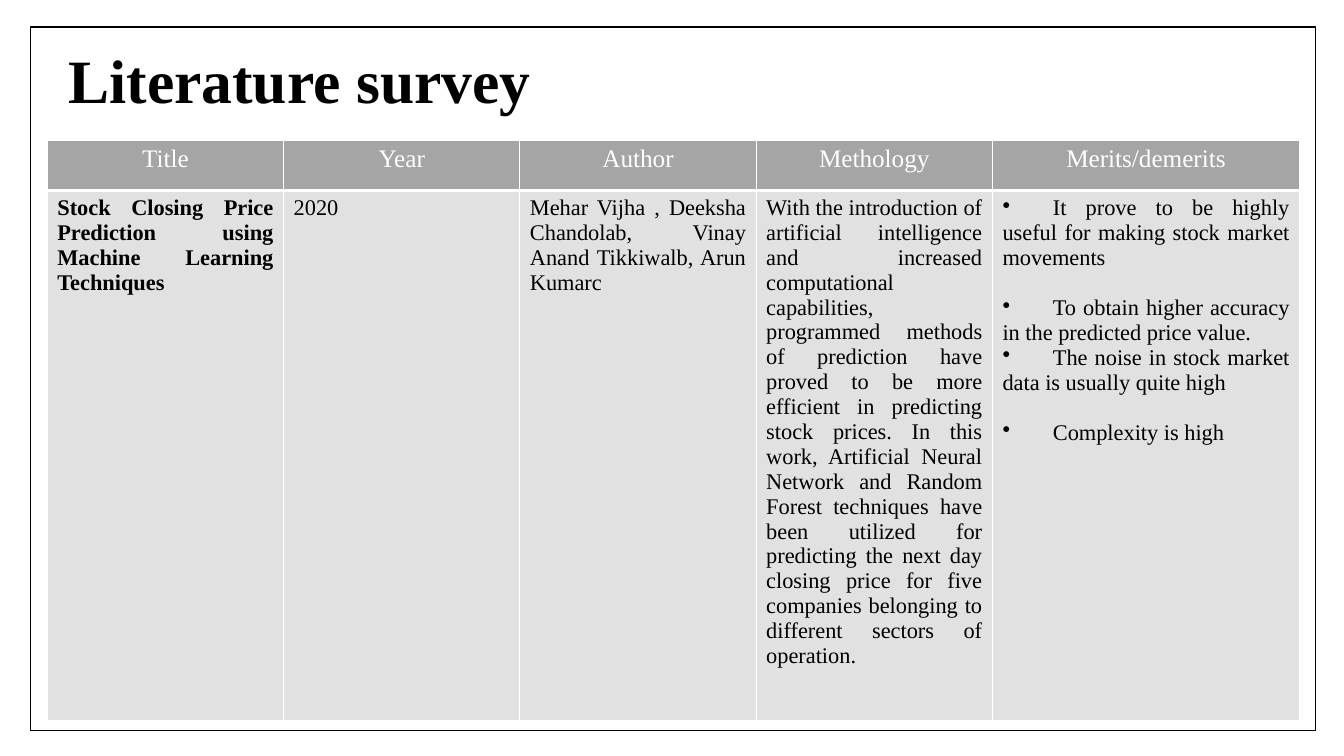
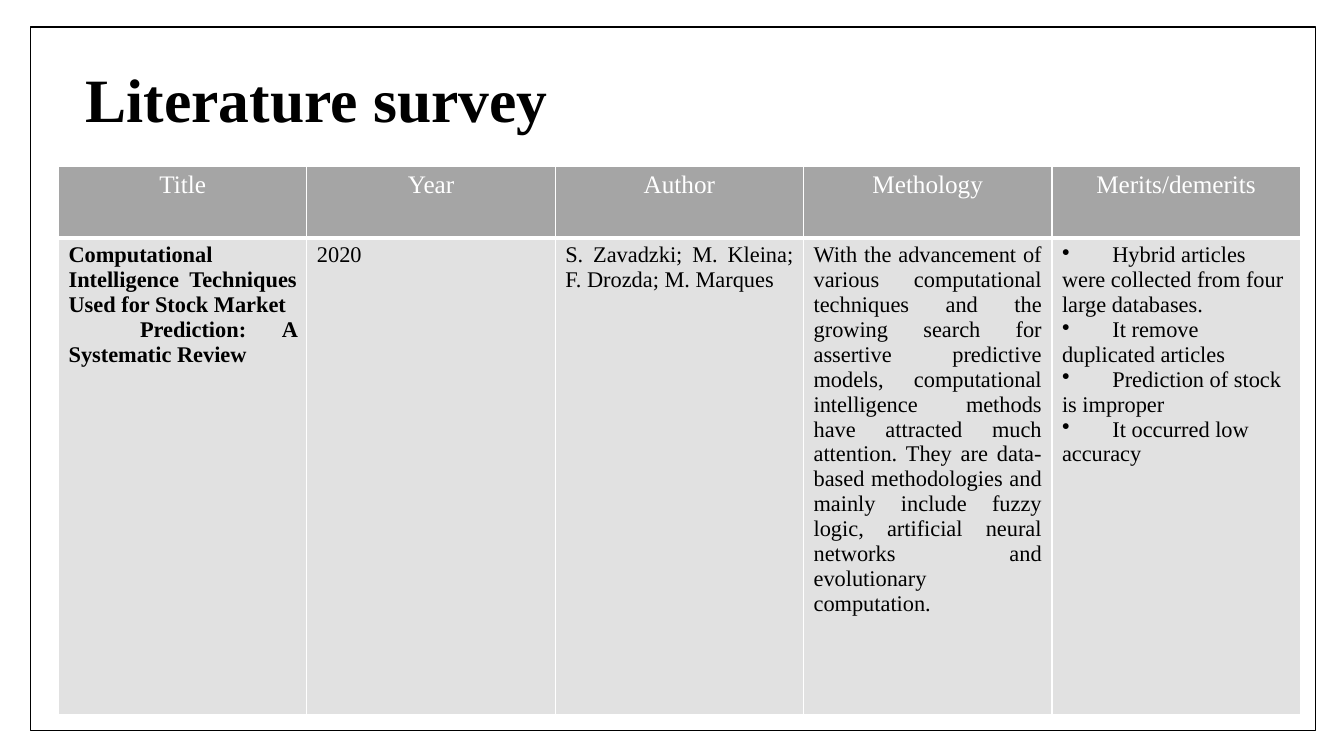
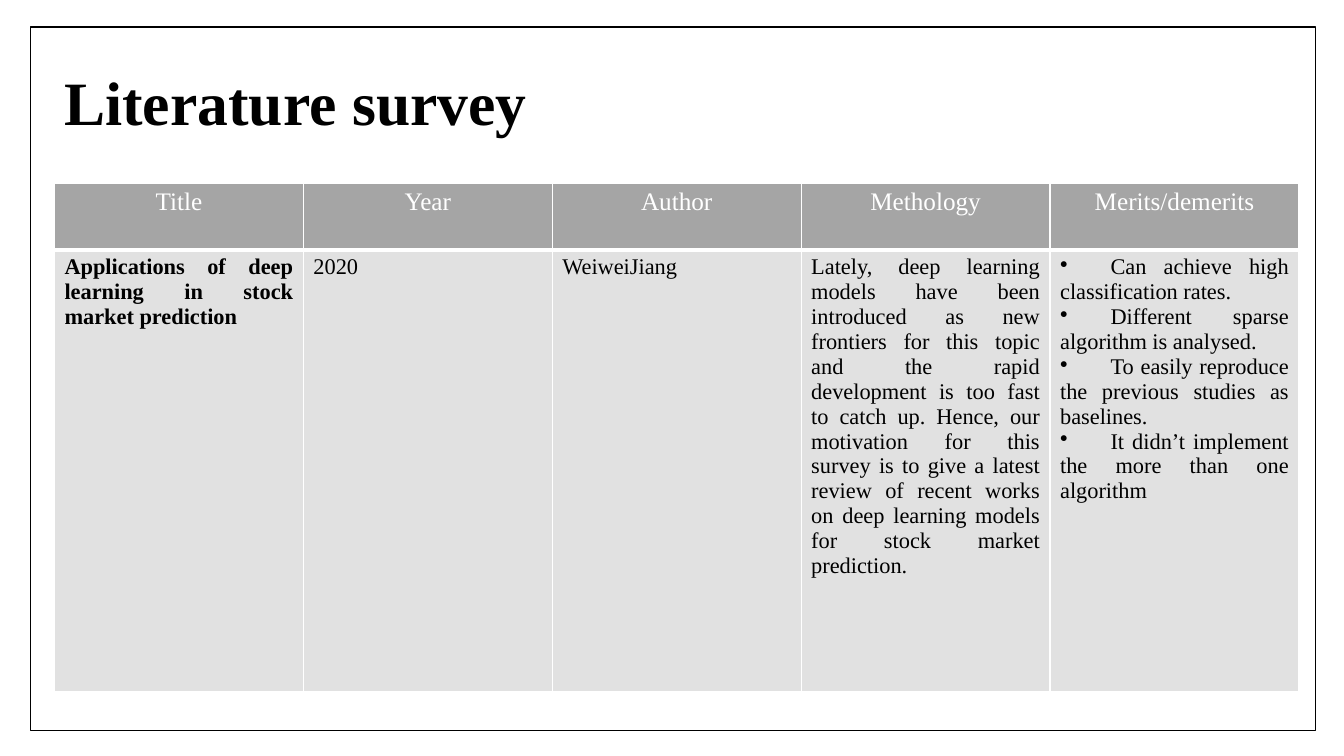
from lxml import etree
from pptx import Presentation
from pptx.dml import color
from pptx.enum import shapes, text
from pptx.oxml import ns
from pptx.util import Pt

FONT = "Times New Roman"
BLACK, WHITE, HEAD_FILL, BODY_FILL = "000000", "FFFFFF", "A5A5A5", "E1E1E1"
TITLE_FONT = {"name": FONT, "size": Pt(44), "bold": True}
HEAD_FONT = {"name": FONT, "size": Pt(18), "bold": False}
BODY_FONT = {"name": FONT, "size": Pt(16), "bold": False}
PAPER_FONT = {**BODY_FONT, "bold": True}
CENTER = {"alignment": text.PP_ALIGN.CENTER}
LEFT = {"alignment": text.PP_ALIGN.LEFT}
JUSTIFY = {"alignment": text.PP_ALIGN.JUSTIFY}
HEAD_BORDERS = {"lnL": 1, "lnR": 1, "lnT": 1, "lnB": 3}
BODY_BORDERS = dict.fromkeys(HEAD_BORDERS, 1)
HEADINGS = ["Title", "Year", "Author", "Methology", "Merits/demerits"]
FRAME = (21.6, 19.4, 918, 502.6)
BLANK_LINE = 18

SURVEYS = [
    {
        "heading_box": (41.8, 28.8, 883.4, 61.2),
        "table_corner": (33.8, 100.1),
        "columns": [168.8] * 4 + [219.5],
        "rows": [36, 378.7],
        "paper": ["Stock Closing Price Prediction using Machine Learning Techniques"],
        "year": "2020",
        "authors": "Mehar Vijha , Deeksha Chandolab, Vinay Anand Tikkiwalb, Arun Kumarc",
        "method": "With the introduction of artificial intelligence and increased "
                  "computational capabilities, programmed methods of prediction have "
                  "proved to be more efficient in predicting stock prices. In this work, "
                  "Artificial Neural Network and Random Forest techniques have been "
                  "utilized for predicting the next day closing price for five companies "
                  "belonging to different sectors of operation.",
        "merits": ["It prove to be highly useful for making stock market movements",
                   "To obtain higher accuracy in the predicted price value.",
                   "The noise in stock market data is usually quite high",
                   "Complexity is high"],
        "merit_format": JUSTIFY,
        "spaced_merits": (0, 2),
    },
    {
        "heading_box": (54, 28.1, 852.5, 90.7),
        "table_corner": (41.8, 118.8),
        "columns": [177.4] * 5,
        "rows": [51.1, 340.6],
        "paper": ["Computational Intelligence Techniques Used for Stock Market",
                  "Prediction: A Systematic Review"],
        "year": "2020",
        "authors": "S. Zavadzki; M. Kleina; F. Drozda; M. Marques",
        "method": "With the advancement of various computational techniques and the "
                  "growing search for assertive predictive models, computational "
                  "intelligence methods have attracted much attention. They are "
                  "data-based methodologies and mainly include fuzzy logic, artificial "
                  "neural networks and evolutionary computation.",
        "merits": ["Hybrid articles were collected from four large databases.",
                   "It remove duplicated articles",
                   "Prediction of stock is improper",
                   "It occurred low accuracy"],
        "merit_format": LEFT,
        "spaced_merits": (),
    },
    {
        "heading_box": (38.9, 28.8, 889.2, 92.9),
        "table_corner": (38.9, 131),
        "columns": [177.8] * 5,
        "rows": [47.5, 315.4],
        "paper": ["Applications of deep learning in stock market prediction"],
        "year": "2020",
        "authors": "WeiweiJiang",
        "method": "Lately, deep learning models have been introduced as new frontiers "
                  "for this topic and the rapid development is too fast to catch up. "
                  "Hence, our motivation for this survey is to give a latest review of "
                  "recent works on deep learning models for stock market prediction.",
        "merits": ["Can achieve high classification rates.",
                   "Different sparse algorithm is analysed.",
                   "To easily reproduce the previous studies as baselines.",
                   "It didn’t implement the more than one algorithm"],
        "merit_format": JUSTIFY,
        "spaced_merits": (),
    },
]


def rgb(value):
    """Turn a hex string into a colour."""
    return color.RGBColor.from_string(value)


def points(values):
    """Turn plain numbers into lengths in points."""
    return [Pt(value) for value in values]


def apply_format(target, values):
    """Set each named attribute on the target."""
    for name, value in values.items():
        setattr(target, name, value)


def write_paragraphs(frame, lines, font, tint, layout):
    """Fill a text frame with one formatted paragraph per line."""
    for number, line in enumerate(lines):
        paragraph = frame.paragraphs[0] if number == 0 else frame.add_paragraph()
        apply_format(paragraph, layout)
        run = paragraph.add_run()
        run.text = line
        apply_format(run.font, font)
        run.font.color.rgb = rgb(tint)
    return frame.paragraphs


def add_bullet(paragraph):
    """Give a paragraph a bullet whose wrapped lines return to the margin."""
    properties = paragraph._p.get_or_add_pPr()
    apply_indent(paragraph, 0)
    etree.SubElement(properties, ns.qn("a:buChar")).set("char", "•")


def apply_indent(paragraph, first_line):
    """Indent only the first line of a paragraph."""
    properties = paragraph._p.get_or_add_pPr()
    properties.set("marL", "0")
    properties.set("indent", str(Pt(first_line)))


def style_cell(cell, fill, borders):
    """Give a cell its fill and white borders."""
    cell.fill.solid()
    cell.fill.fore_color.rgb = rgb(fill)
    properties = cell._tc.get_or_add_tcPr()
    for position, (side, width) in enumerate(borders.items()):
        border = etree.Element(ns.qn("a:" + side), w=str(Pt(width)))
        paint = etree.SubElement(border, ns.qn("a:solidFill"))
        etree.SubElement(paint, ns.qn("a:srgbClr")).set("val", WHITE)
        properties.insert(position, border)


def add_heading(slide, box):
    """Add the slide heading."""
    frame = slide.shapes.add_textbox(*points(box)).text_frame
    apply_format(frame, {"word_wrap": True, "vertical_anchor": text.MSO_ANCHOR.MIDDLE})
    write_paragraphs(frame, ["Literature survey"], TITLE_FONT, BLACK, {"line_spacing": 0.9})


def add_survey_table(slide, survey):
    """Add the table that describes one paper."""
    columns, rows = survey["columns"], survey["rows"]
    box = (*survey["table_corner"], sum(columns), sum(rows))
    table = slide.shapes.add_table(len(rows), len(columns), *points(box)).table
    table.horz_banding = False
    for column, width in zip(table.columns, columns):
        column.width = Pt(width)
    for row, height in zip(table.rows, rows):
        row.height = Pt(height)

    entries = [
        (survey["paper"], PAPER_FONT, JUSTIFY),
        ([survey["year"]], BODY_FONT, JUSTIFY),
        ([survey["authors"]], BODY_FONT, JUSTIFY),
        ([survey["method"]], BODY_FONT, JUSTIFY),
        (["\t" + merit for merit in survey["merits"]], BODY_FONT, survey["merit_format"]),
    ]
    written = []
    for index, (heading, (lines, font, layout)) in enumerate(zip(HEADINGS, entries)):
        head, body = table.cell(0, index), table.cell(1, index)
        style_cell(head, HEAD_FILL, HEAD_BORDERS)
        style_cell(body, BODY_FILL, BODY_BORDERS)
        write_paragraphs(head.text_frame, [heading], HEAD_FONT, WHITE, CENTER)
        written.append(write_paragraphs(body.text_frame, lines, font, BLACK, layout))

    for continuation in written[0][1:]:
        apply_indent(continuation, 51)
    for number, merit in enumerate(written[-1]):
        if number in survey["spaced_merits"]:
            merit.space_after = Pt(BLANK_LINE)
        add_bullet(merit)


def add_frame(slide):
    """Add the thin border around the slide."""
    border = slide.shapes.add_shape(shapes.MSO_SHAPE.RECTANGLE, *points(FRAME))
    border.shadow.inherit = False
    border.fill.background()
    border.line.color.rgb = rgb(BLACK)
    border.line.width = Pt(1)


def main():
    """Build and save the presentation."""
    deck = Presentation()
    apply_format(deck, {"slide_width": Pt(960), "slide_height": Pt(540)})
    for survey in SURVEYS:
        slide = deck.slides.add_slide(deck.slide_layouts[6])
        add_heading(slide, survey["heading_box"])
        add_survey_table(slide, survey)
        add_frame(slide)
    deck.save("out.pptx")


if __name__ == "__main__":
    main()
